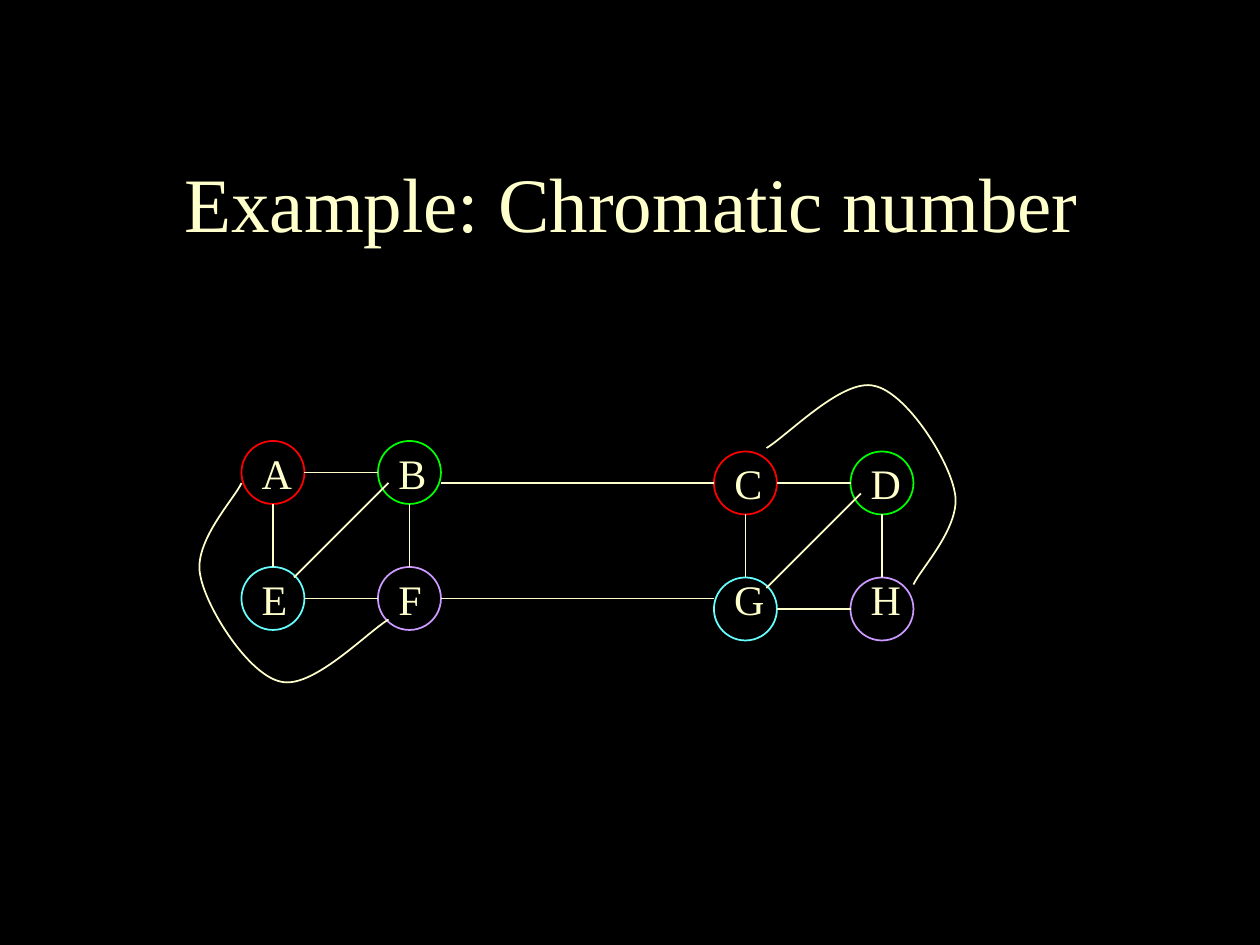
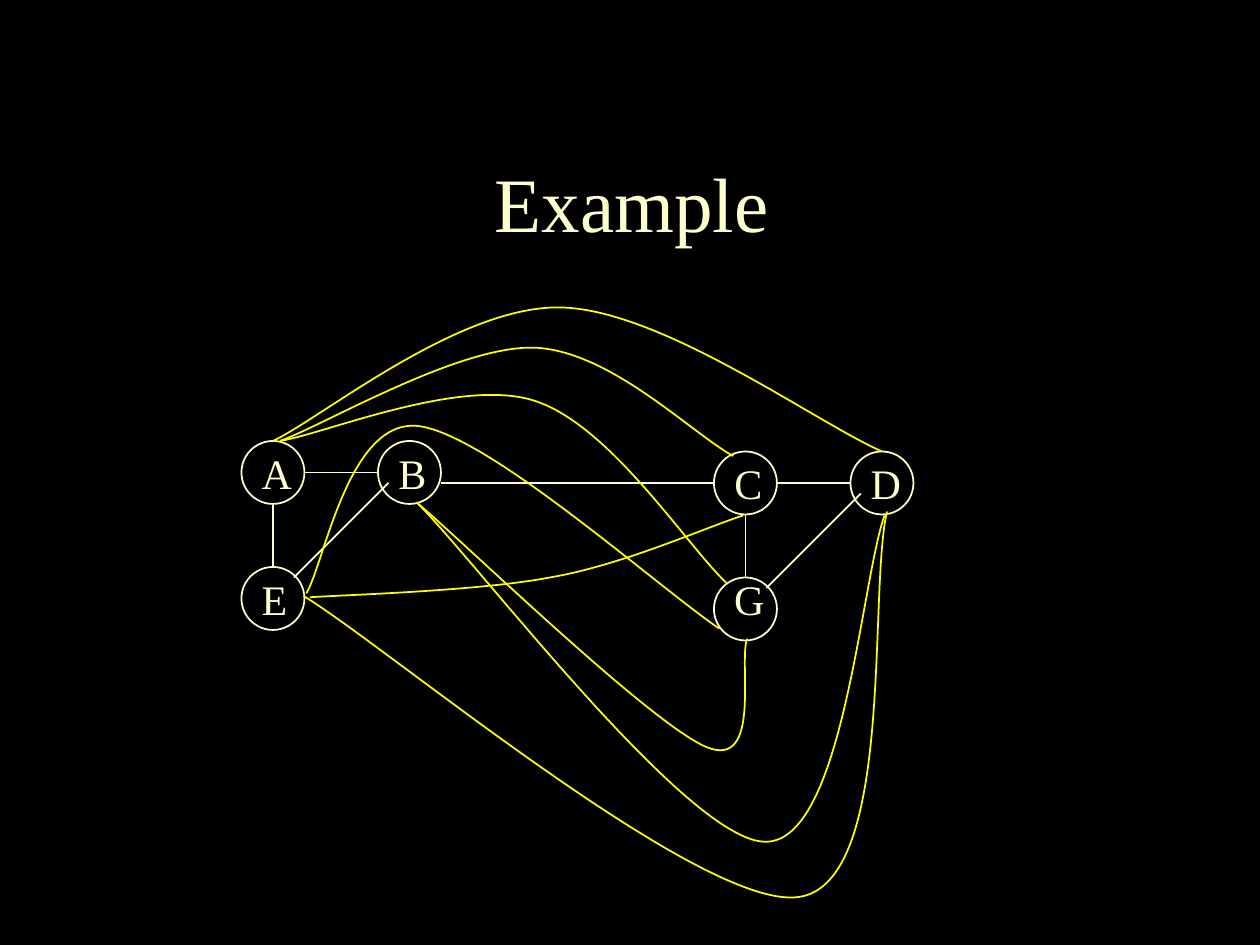
from pptx import Presentation
from pptx.dml.color import RGBColor
from pptx.enum import shapes, text
from pptx.oxml.ns import qn
from pptx.util import Pt
from lxml import etree

BLACK = RGBColor(0x00, 0x00, 0x00)
CREAM = RGBColor(0xFF, 0xFF, 0xCC)
RED = RGBColor(0xFF, 0x00, 0x00)
GREEN = RGBColor(0x00, 0xFF, 0x00)
CYAN = RGBColor(0x66, 0xFF, 0xFF)
LILAC = RGBColor(0xCC, 0x99, 0xFF)
YELLOW = RGBColor(0xFF, 0xFF, 0x00)
FONT = "Times New Roman"

SIZE = 36  # node diameter
HALF = SIZE / 2
# name: left, top, label top, label width, colour
NODES = {
    "A": (138, 252, 252, 31.7, RED),
    "B": (216, 252, 252, 30.2, GREEN),
    "C": (408, 258, 258, 30.2, RED),
    "D": (486, 258, 258, 31.7, GREEN),
    "E": (138, 324, 324, 28.8, CYAN),
    "F": (216, 324, 324, 27.4, LILAC),
    "G": (408, 330, 324, 31.7, CYAN),
    "H": (486, 330, 324, 31.7, LILAC),
}
# edge: offsets of its two ends from the corners of the two nodes
DOWN = (HALF, SIZE), (HALF, 0)
ACROSS = (0, HALF), (SIZE, HALF)
SLANT = (6, 24), (30, 6)
EDGES = {
    "AE": DOWN, "BF": DOWN, "FE": ACROSS, "BA": ACROSS, "BE": SLANT,
    "CG": DOWN, "DH": DOWN, "HG": ACROSS, "DC": ACROSS, "DG": SLANT,
    "BC": ((SIZE, 24), (0, HALF)),
    "FG": ((SIZE, HALF), (0, 12)),
}

# curves: start point, then two control points and an end point per piece
LOOP = [(138, 276), (134, 285), (110, 310), (114.5, 329), (118, 348),
        (142.5, 386), (160.5, 389.5), (178.5, 394), (209.5, 361.5), (222, 354)]
TURNED = [(660 - x, 610 - y) for x, y in LOOP]  # half turn about the middle
ADDED = {
    "AD": [(156, 252), (183.6, 239), (261.4, 175), (319.7, 175.7),
           (377.3, 176.4), (465.8, 241.2), (504, 258)],
    "AC": [(160, 252), (184.3, 243.4), (262, 197.3), (305.3, 198.7),
           (348.5, 200.2), (395.3, 247.7), (419, 260.6)],
    "AG": [(160, 252), (184.3, 248.4), (262.8, 215.3), (305.3, 229),
           (348.5, 242.6), (392.4, 311.8), (415.4, 333.4)],
    "BG": [(238.3, 287.3), (265.7, 310.3), (372.2, 414), (403.9, 427),
           (435.6, 439.9), (421.9, 378), (427, 365)],
    "BD": [(238.3, 287.3), (271.4, 319.7), (392.4, 480.2), (437, 481),
           (481.7, 482.4), (491.8, 333.4), (505.4, 294.5)],
    "ED": [(173.5, 340.6), (221, 369.4), (401, 520.6), (456.5, 512.6),
           (511.9, 504.7), (496, 338.4), (506.9, 292.3)],
    "EG": [(175, 339.1), (185, 323.3), (198.7, 239.8), (238.3, 243.4),
           (277.2, 247), (375.1, 334.8), (411.1, 359.3)],
    "EC": [(177.1, 341.3), (200.2, 339.8), (274.3, 337.7), (315.4, 329.8),
           (356.4, 322.6), (402.5, 301.7), (424.8, 294.5)],
}


def write(frame, words, size=24, color=CREAM, align=None, wrap=False,
          anchor=text.MSO_ANCHOR.TOP):
    frame.word_wrap = wrap
    frame.vertical_anchor = anchor
    para = frame.paragraphs[0]
    para.alignment = align
    run = para.add_run()
    run.text = words
    run.font.name = FONT
    run.font.size = Pt(size)
    run.font.color.rgb = color


class Deck:
    """Holds the line style and the slide being drawn."""

    def __init__(self):
        self.prs = Presentation()
        self.prs.slide_width, self.prs.slide_height = Pt(720), Pt(540)

    def page(self, title):
        self.slide = self.prs.slides.add_slide(self.prs.slide_layouts[6])
        self.items = self.slide.shapes
        fill = self.slide.background.fill
        fill.solid()
        fill.fore_color.rgb = BLACK
        self.label(title, 11, 70, 700, 91, size=44, wrap=True,
                   align=text.PP_ALIGN.CENTER, anchor=text.MSO_ANCHOR.MIDDLE)

    def label(self, words, x, y, w, h, **style):
        box = self.items.add_textbox(Pt(x), Pt(y), Pt(w), Pt(h))
        write(box.text_frame, words, **style)

    def outline(self, shape, color):
        shape.shadow.inherit = False
        shape.fill.background()
        self.stroke(shape, color)

    def stroke(self, shape, color):
        shape.line.color.rgb = color
        shape.line.width = Pt(1)

    def ring(self, x, y, color):
        oval = self.items.add_shape(shapes.MSO_SHAPE.OVAL, Pt(x), Pt(y),
                                    Pt(SIZE), Pt(SIZE))
        self.outline(oval, color)

    def link(self, start, end):
        line = self.items.add_connector(shapes.MSO_CONNECTOR.STRAIGHT,
                                        *map(Pt, start + end))
        self.stroke(line, CREAM)
        etree.SubElement(line._element.spPr, qn("a:effectLst"))

    def curve(self, points, color):
        """Draw a polyline, then make each three segments one Bezier piece."""
        spots = [(Pt(x), Pt(y)) for x, y in points]
        pen = self.items.build_freeform(*spots[0], scale=1.0)
        pen.add_line_segments(spots[1:], close=False)
        shape = pen.convert_to_shape()
        steps = shape._element.xpath(".//a:lnTo")
        for i in range(0, len(steps), 3):
            bend = etree.Element(qn("a:cubicBezTo"))
            steps[i].addprevious(bend)
            for step in steps[i:i + 3]:
                bend.append(step[0])
                step.getparent().remove(step)
        self.outline(shape, color)

    def graph(self, names, color=None):
        """Draw the named nodes and every edge between two of them."""
        for name in names:
            x, y, _, _, own = NODES[name]
            self.ring(x, y, color or own)
        for pair, shifts in EDGES.items():
            if set(pair) <= set(names):
                ends = [(NODES[name][0] + dx, NODES[name][1] + dy)
                        for name, (dx, dy) in zip(pair, shifts)]
                self.link(*ends)
        for name in names:
            x, _, top, width, _ = NODES[name]
            self.label(name, x + 4.5, top, width, 34)


def main():
    deck = Deck()

    deck.page("Example: Chromatic number")
    deck.graph("ABCDEFGH")
    for points in (TURNED, LOOP):
        deck.curve(points, CREAM)

    deck.page("Example")
    deck.graph("ABCDEG", CREAM)
    for points in ADDED.values():
        deck.curve(points, YELLOW)

    deck.prs.save("out.pptx")


if __name__ == "__main__":
    main()
